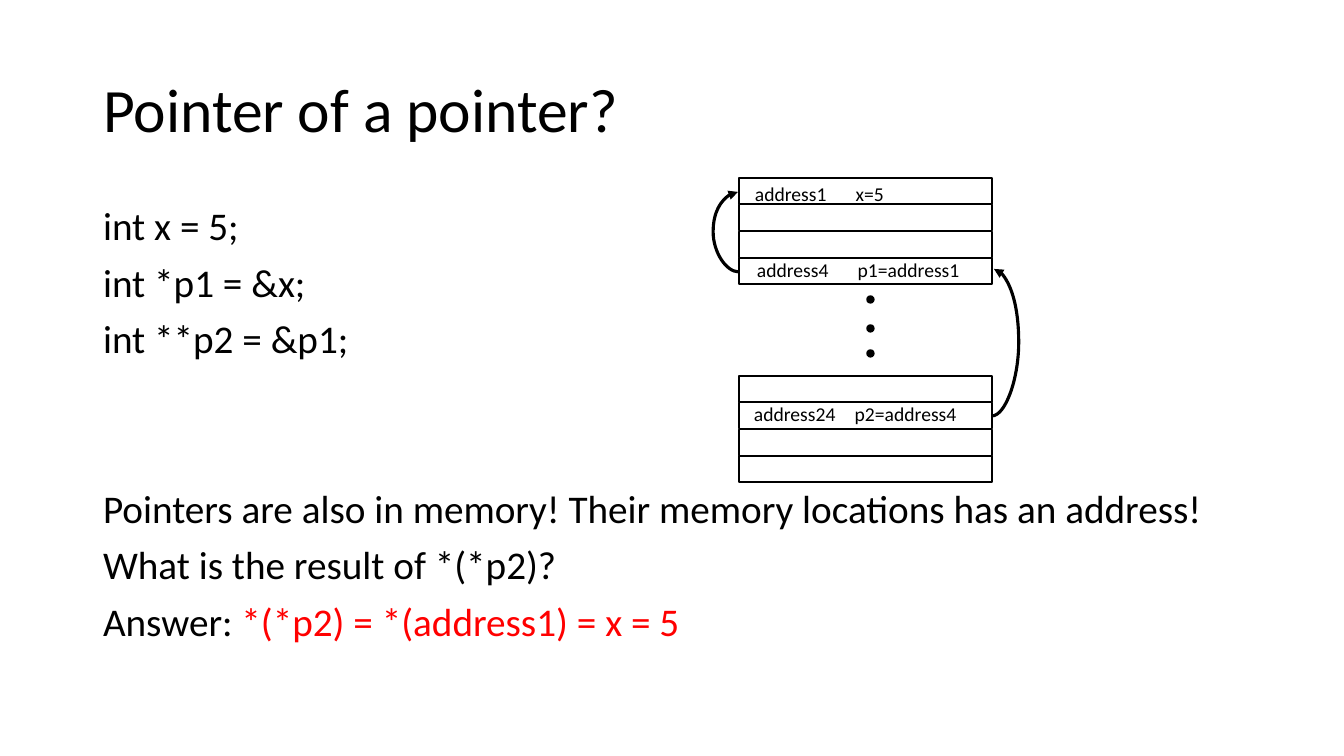
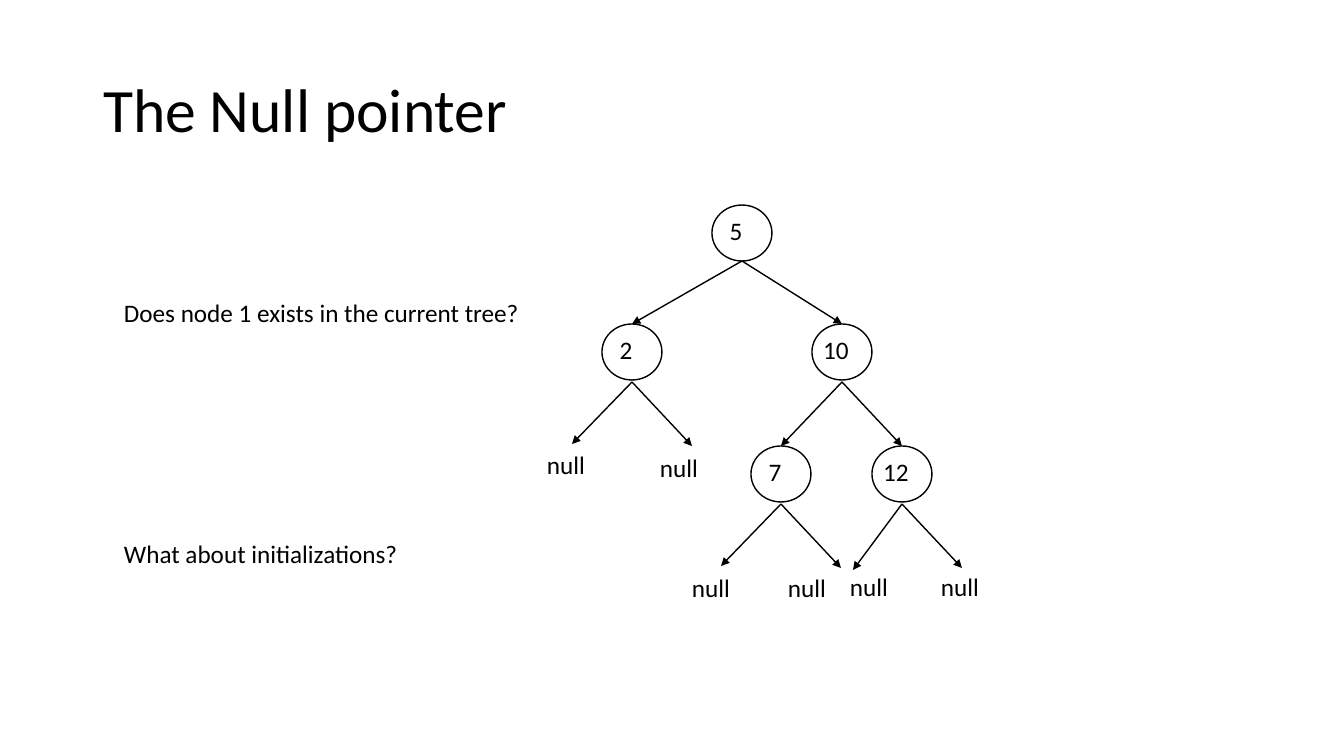
from dataclasses import dataclass
from pptx import Presentation
from pptx.dml.color import RGBColor
from pptx.enum.shapes import MSO_CONNECTOR, MSO_SHAPE
from pptx.enum.text import MSO_ANCHOR, MSO_AUTO_SIZE, PP_ALIGN
from pptx.oxml.ns import qn
from pptx.util import Emu, Pt
from lxml.etree import SubElement


@dataclass(frozen=True)
class Theme:
    font: str = "Calibri"
    ink: RGBColor = RGBColor(0, 0, 0)
    accent: RGBColor = RGBColor(255, 0, 0)
    title: int = 44
    body: int = 28
    label: int = 18
    memory: int = 14
    thin: float = 1
    thick: float = 2.25


THEME = Theme()

# Content: pixels for every length
SCALE = 914400 / 100.8
TITLE_AREA = (93, 40, 1159, 146)
BODY_AREA = (93, 202, 1159, 480)

POINTER_TITLE = "Pointer of a pointer?"
POINTER_LINES = [
    # spans as (text, colour), then space before in points
    ([("int x = 5;", THEME.ink)], 10),
    ([("int *p1 = &x;", THEME.ink)], 10),
    ([("int **p2 = &p1;", THEME.ink)], 10),
    ([("Pointers are also in memory! Their memory locations has an address!", THEME.ink)], 91),
    ([("What is the result of *(*p2)?", THEME.ink)], 10),
    ([("Answer: ", THEME.ink), ("*(*p2) = *(address1) = x = 5", THEME.accent)], 10),
]
MEMORY_LEFT, CELL_WIDTH, CELL_HEIGHT = 739, 253, 26
MEMORY_BLOCKS, CELLS_PER_BLOCK, BLOCK_PITCH = (178, 376), 4, 80 / 3
DOT_LEFT, DOT_SIZE, DOT_TOPS = 867, 7, (296, 325, 350)
MEMORY_LABELS = [
    ("address1\tx=5", 745, 177),
    ("address4\tp1=address1", 747, 253),
    ("address24\tp2=address4", 744, 397),
]
POINTER_ARROWS = [  # start, end, x of the bend
    ((992, 416), (994, 269), 1019),
    ((739, 272), (738, 192), 713),
]

NULL_TITLE = "The Null pointer"
NODE_WIDTH, NODE_HEIGHT = 60, 56
NODES = {"5": (742, 233), "2": (632, 352), "10": (842, 352),
         "7": (781, 474), "12": (902, 474)}
BRANCHES = [("5", "2"), ("5", "10"), ("10", "7"), ("10", "12")]
NULL_LEAVES = [  # parent, arrow tip, label corner
    ("2", (572, 444), (537, 444)),
    ("2", (692, 446), (650, 447)),
    ("7", (721, 566), (682, 567)),
    ("7", (841, 568), (778, 567)),
    ("12", (853, 570), (840, 566)),
    ("12", (962, 568), (931, 566)),
]
QUESTIONS = [
    ([("Does node 1 exists in the current tree?", THEME.ink)], 0),
    ([("What about initializations?", THEME.ink)], 151),
]


# Shared helpers
def px(*lengths):
    return [Emu(round(length * SCALE)) for length in lengths]


def set_all(target, values):
    for name, value in values.items():
        setattr(target, name, value)


def place(shape, area):
    set_all(shape, dict(zip(("left", "top", "width", "height"), px(*area))))


def write(shape, lines, size, align=PP_ALIGN.LEFT, anchor=MSO_ANCHOR.TOP, spacing=1.0):
    frame = shape.text_frame
    set_all(frame, {"word_wrap": True, "auto_size": MSO_AUTO_SIZE.NONE,
                    "vertical_anchor": anchor})
    for index, (spans, before) in enumerate(lines):
        para = frame.add_paragraph() if index else frame.paragraphs[0]
        set_all(para, {"alignment": align, "line_spacing": spacing,
                       "space_before": Pt(before), "space_after": Pt(0)})
        for text, colour in spans:
            span = para.add_run()
            span.text = text
            set_all(span.font, {"name": THEME.font, "size": Pt(size)})
            span.font.color.rgb = colour
    return frame


def plain(text):
    return [([(text, THEME.ink)], 0)]


def add_page(deck, layout, title):
    page = deck.slides.add_slide(deck.slide_layouts[layout])
    place(page.shapes.title, TITLE_AREA)
    write(page.shapes.title, plain(title), THEME.title, anchor=MSO_ANCHOR.MIDDLE, spacing=0.9)
    return page


def add_text(page, lines, area, size):
    return write(page.shapes.add_textbox(*px(*area)), lines, size)


def add_outline(page, kind, area, filled=False):
    shape = page.shapes.add_shape(kind, *px(*area))
    shape.shadow.inherit = False
    if filled:
        shape.fill.solid()
        shape.fill.fore_color.rgb = THEME.ink
    else:
        shape.fill.background()
    shape.line.color.rgb = THEME.ink
    shape.line.width = Pt(THEME.thin)
    return shape


def add_arrow(page, start, end, width=THEME.thin, bend=None):
    kind = MSO_CONNECTOR.STRAIGHT if bend is None else MSO_CONNECTOR.CURVE
    arrow = page.shapes.add_connector(kind, *px(*start, *end))
    arrow.line.color.rgb = THEME.ink
    arrow.line.width = Pt(width)
    SubElement(arrow.line._get_or_add_ln(), qn("a:tailEnd"), type="triangle")
    properties = arrow._element.spPr
    SubElement(properties, qn("a:effectLst"))
    if bend is not None:
        ratio = (bend - start[0]) / (end[0] - start[0])
        guides = properties.find(qn("a:prstGeom")).find(qn("a:avLst"))
        SubElement(guides, qn("a:gd"), name="adj1", fmla=f"val {round(ratio * 100000)}")


# Pointer of a pointer
def build_pointer_page(deck):
    page = add_page(deck, 1, POINTER_TITLE)
    body = page.placeholders[1]
    place(body, BODY_AREA)
    for para in write(body, POINTER_LINES, THEME.body, spacing=0.9).paragraphs:
        properties = para._p.get_or_add_pPr()
        properties.set("marL", "0")
        properties.set("indent", "0")
        SubElement(properties, qn("a:buNone"))

    for block_top in MEMORY_BLOCKS:
        for row in range(CELLS_PER_BLOCK):
            top = block_top + row * BLOCK_PITCH
            add_outline(page, MSO_SHAPE.RECTANGLE, (MEMORY_LEFT, top, CELL_WIDTH, CELL_HEIGHT))
    for top in DOT_TOPS:
        add_outline(page, MSO_SHAPE.OVAL, (DOT_LEFT, top, DOT_SIZE, DOT_SIZE), filled=True)
    for text, left, top in MEMORY_LABELS:
        add_text(page, plain(text), (left, top, 247, 34), THEME.memory)
    for start, end, bend in POINTER_ARROWS:
        add_arrow(page, start, end, THEME.thick, bend)


# Null pointer tree
def build_null_page(deck):
    page = add_page(deck, 5, NULL_TITLE)
    half_width, half_height = NODE_WIDTH // 2, NODE_HEIGHT // 2
    for name, (x, y) in NODES.items():
        node = add_outline(page, MSO_SHAPE.OVAL,
                           (x - half_width, y - half_height, NODE_WIDTH, NODE_HEIGHT))
        frame = write(node, plain(name), THEME.label, PP_ALIGN.CENTER, MSO_ANCHOR.MIDDLE)
        insets = ("margin_left", "margin_top", "margin_right", "margin_bottom")
        set_all(frame, dict(zip(insets, px(0, 0, 12, 6))))

    def below(name):
        x, y = NODES[name]
        return x, y + half_height + (0 if name == "5" else 2)

    for parent, child in BRANCHES:
        x, y = NODES[child]
        add_arrow(page, below(parent), (x, y - half_height))
    for parent, tip, corner in NULL_LEAVES:
        add_arrow(page, below(parent), tip)
        add_text(page, plain("null"), (*corner, 75, 48), THEME.label)
    add_text(page, QUESTIONS, (114, 292, 420, 285), THEME.label)


deck = Presentation()
deck.slide_width, deck.slide_height = px(1344, 756)
build_pointer_page(deck)
build_null_page(deck)
deck.save("out.pptx")
